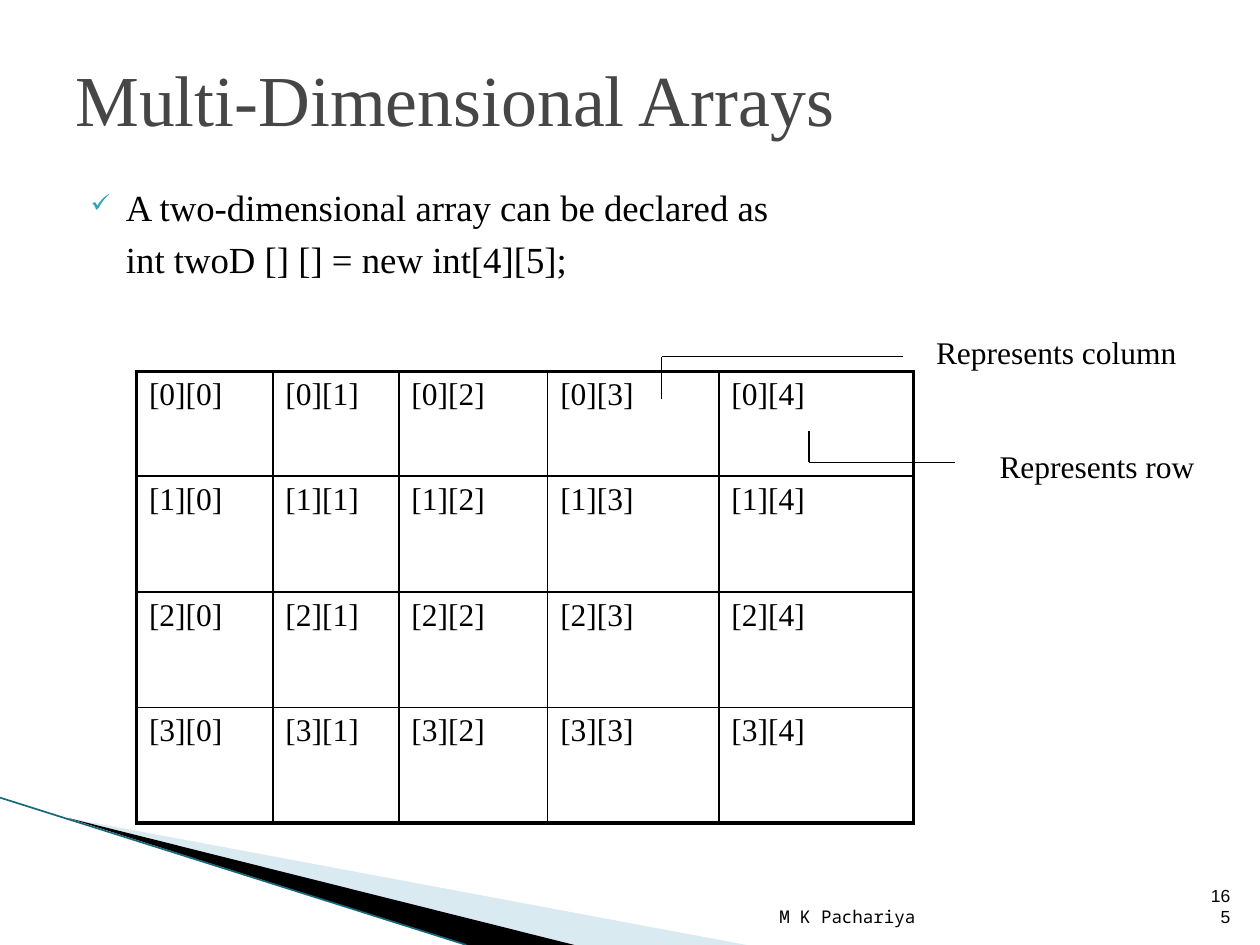
import pptx
import pptx.dml.color
import pptx.enum.shapes
import pptx.enum.text
import pptx.oxml
import pptx.oxml.ns
import pptx.util

Cm = pptx.util.Cm
Pt = pptx.util.Pt
ALIGN = pptx.enum.text.PP_ALIGN
ANCHOR = pptx.enum.text.MSO_ANCHOR
NS = pptx.oxml.ns.nsdecls("a")
SERIF = "Times New Roman"
BLACK = "000000"


def tint(code):
    """Turn a hex string into a colour."""
    return pptx.dml.color.RGBColor.from_string(code)


def node(xml):
    """Parse one drawing element such as 'a:tag attr' with its content."""
    head, _, rest = xml.partition(">")
    return pptx.oxml.parse_xml(f"<{head} {NS}>{rest}")


def write(para, text, size, font=SERIF, color=BLACK):
    """Add one styled run to a paragraph."""
    run = para.add_run()
    run.text = text
    run.font.size = Pt(size)
    run.font.name = font
    run.font.color.rgb = tint(color)


def frame(slide, box, anchor=ANCHOR.TOP):
    """Add a wrapping text box and return its text frame."""
    text = slide.shapes.add_textbox(*map(Cm, box)).text_frame
    text.word_wrap = True
    text.vertical_anchor = anchor
    return text


def label(slide, box, text, size, font=SERIF, color=BLACK,
          align=ALIGN.LEFT, anchor=ANCHOR.TOP):
    """Place a single paragraph of text in a box."""
    para = frame(slide, box, anchor).paragraphs[0]
    para.alignment = align
    write(para, text, size, font, color)


def line(slide, start, end, color=BLACK, width=0.75):
    """Draw a straight line without shadow."""
    kind = pptx.enum.shapes.MSO_CONNECTOR.STRAIGHT
    link = slide.shapes.add_connector(kind, *map(Cm, (*start, *end)))
    link.line.color.rgb = tint(color)
    link.line.width = Pt(width)
    link._element.spPr.append(node("a:effectLst></a:effectLst>"))


def wedge(slide, points, color, alpha=100):
    """Draw a filled outline through the given points."""
    spots = [(Cm(x), Cm(y)) for x, y in points]
    pen = slide.shapes.build_freeform(*spots[0])
    pen.add_line_segments(spots[1:])
    shape = pen.convert_to_shape()
    shape.shadow.inherit = False
    shape.line.fill.background()
    shape.fill.solid()
    shape.fill.fore_color.rgb = tint(color)
    if alpha < 100:
        mark = shape._element.spPr.find(".//" + pptx.oxml.ns.qn("a:srgbClr"))
        mark.append(node(f'a:alpha val="{alpha * 1000}"></a:alpha>'))


def swoosh(slide, box):
    """Draw the corner decoration inside the box."""
    x, y, w, h = box
    foot = y + h
    tip = (x + 1.37, y + 0.41)
    wedge(slide, [tip, (x + w, foot), (x + 11.58, foot)], "A0CBDC", 40)
    wedge(slide, [tip, (x + 11.58, foot), (x + 9.4, foot)], BLACK)
    line(slide, (x, y), (x + 9.4, foot), "16697A", 0.95)


def body(slide, box):
    """Write the ticked statement and the code line under it."""
    text = frame(slide, box)
    first, code = text.paragraphs[0], text.add_paragraph()
    for para, hang in ((first, -0.71), (code, 0)):
        props = para._p.get_or_add_pPr()
        props.set("marL", str(Cm(1.02)))
        props.set("indent", str(Cm(hang)))
    props = first._p.get_or_add_pPr()
    for xml in ('a:buClr><a:srgbClr val="2DA2BF"/></a:buClr>',
                'a:buSzPct val="68000"></a:buSzPct>',
                'a:buChar char="✓"></a:buChar>'):
        props.append(node(xml))
    code.space_before = Pt(4)
    write(first, "A two-dimensional array can be declared as", 21)
    write(code, "int twoD [] [] = new int[4][5];", 21)


def border(cell, sides):
    """Set the cell's borders from pairs of side and width."""
    props = cell._tc.get_or_add_tcPr()
    for side, width in sides:
        props.append(node(
            f'a:ln{side} w="{Pt(width)}"><a:solidFill>'
            f'<a:srgbClr val="{BLACK}"/></a:solidFill></a:ln{side}>'))


def grid(slide, x, y, cols, rows):
    """Build the table of array indices with a heavy outline."""
    size = map(Cm, (x, y, sum(cols), sum(rows)))
    table = slide.shapes.add_table(len(rows), len(cols), *size).table
    table.first_row = table.horz_banding = False
    for col, width in zip(table.columns, cols):
        col.width = Cm(width)
    for r, tall in enumerate(rows):
        table.rows[r].height = Cm(tall)
        for c in range(len(cols)):
            cell = table.cell(r, c)
            edges = (("L", c == 0), ("R", c == len(cols) - 1),
                     ("T", r == 0), ("B", r == len(rows) - 1))
            border(cell, [(s, 2.25 if out else 1) for s, out in edges])
            cell.fill.background()
            write(cell.text_frame.paragraphs[0], f"[{r}][{c}]", 18)


def callout(slide, start, bend, end, box, text):
    """Lead from a table index round a corner to its label."""
    line(slide, start, bend)
    line(slide, bend, end)
    label(slide, box, text, 18)


def main():
    """Build and save the slide."""
    deck = pptx.Presentation()
    deck.slide_width, deck.slide_height = Cm(25.4), Cm(19.05)
    slide = deck.slides.add_slide(deck.slide_layouts[6])
    swoosh(slide, (0, 16.08, 15.05, 2.97))
    label(slide, (12.17, 17.8, 6.53, 1.02), "M K Pachariya", 10,
          "Noto Sans Mono", align=ALIGN.RIGHT, anchor=ANCHOR.BOTTOM)
    label(slide, (24.03, 17.8, 1.02, 1.02), "165", 10,
          "Arial", align=ALIGN.RIGHT, anchor=ANCHOR.BOTTOM)
    label(slide, (1.27, 0.76, 23.29, 2.41), "Multi-Dimensional Arrays", 41,
          color="464646", anchor=ANCHOR.MIDDLE)
    body(slide, (1.27, 3.61, 20.85, 2.74))
    grid(slide, 2.75, 7.49, [2.75, 2.54, 3, 3.45, 3.92], [2.11] + [2.33] * 3)
    callout(slide, (16.31, 8.69), (16.31, 9.32), (19.25, 9.32),
            (19.9, 8.89, 5.72, 1.02), "Represents row")
    callout(slide, (13.34, 8.05), (13.34, 7.19), (18.21, 7.19),
            (18.62, 6.58, 6.15, 1.02), "Represents column")
    deck.save("out.pptx")


if __name__ == "__main__":
    main()
